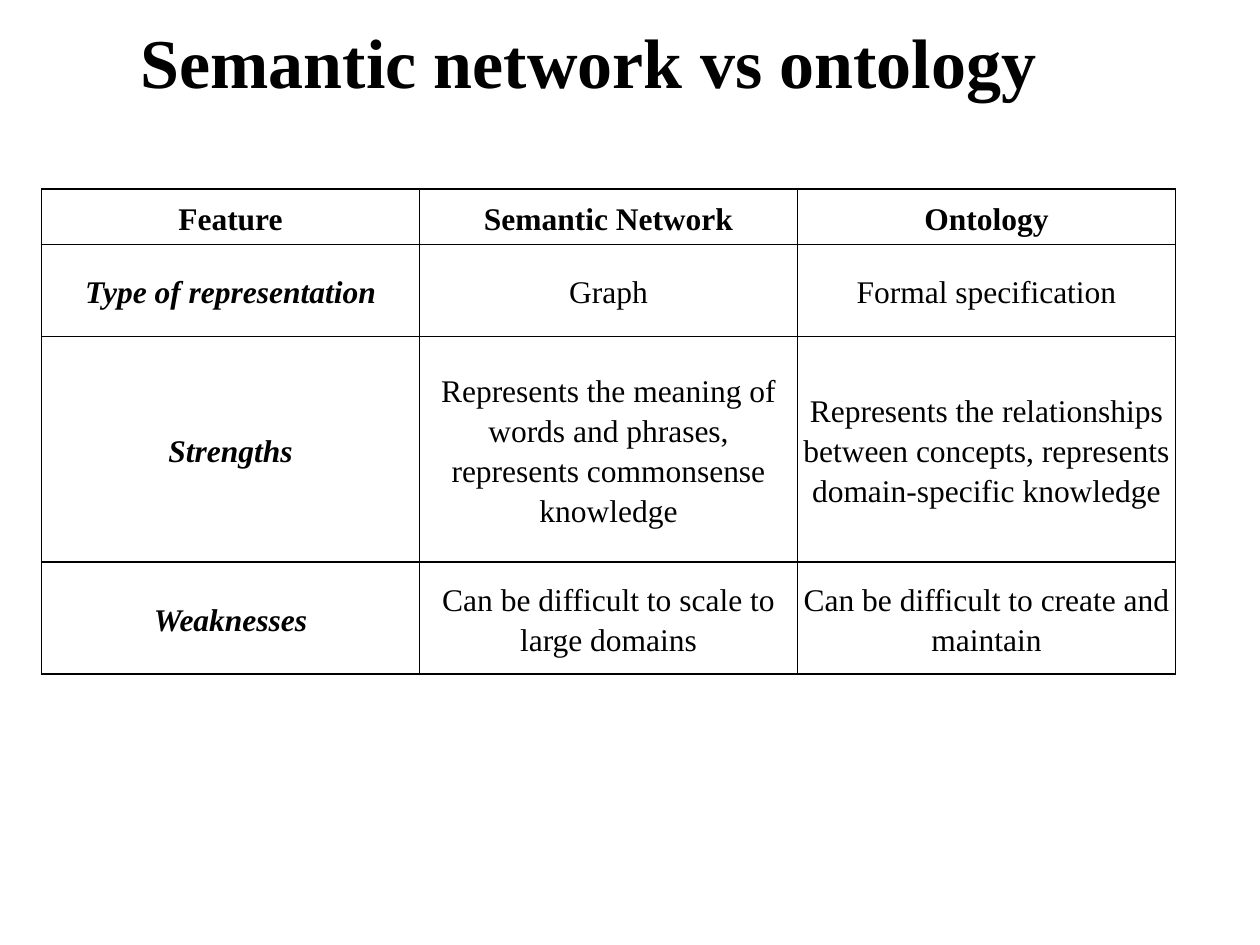
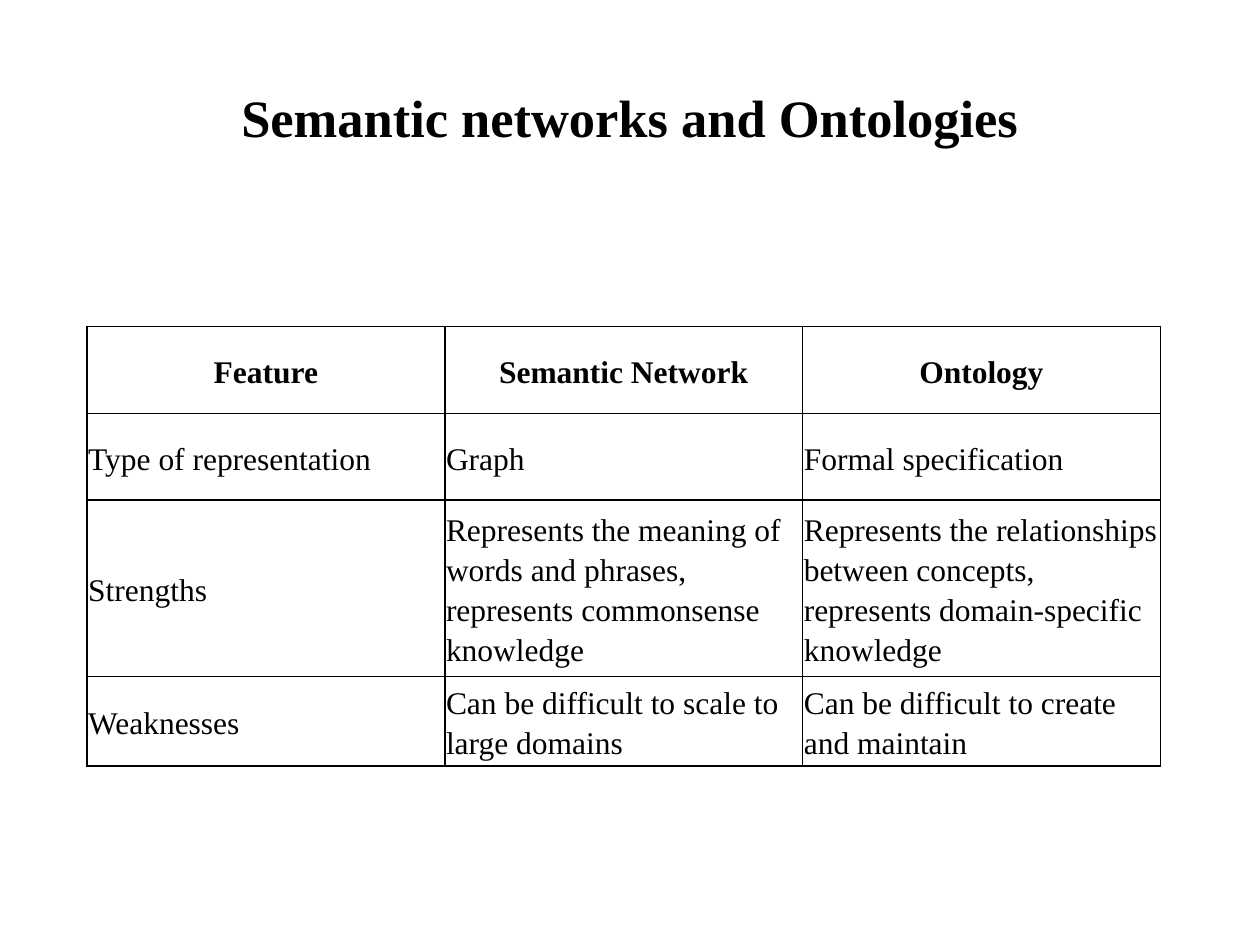
from dataclasses import dataclass

from lxml import etree
from pptx import Presentation
from pptx import util as u
from pptx.dml.color import RGBColor
from pptx.enum import text
from pptx.oxml import ns

COLOURS = {"ink": "000000", "paper": "FFFFFF"}
FONT = "Times New Roman"
CELL_MARGIN = u.Inches(0.01)
BORDER_WIDTH = u.Pt(1)
FEATURES = [
    ("Feature", "Semantic Network", "Ontology"),
    ("Type of representation", "Graph", "Formal specification"),
    (
        "Strengths",
        "Represents the meaning of words and phrases, represents commonsense knowledge",
        "Represents the relationships between concepts, represents domain-specific knowledge",
    ),
    (
        "Weaknesses",
        "Can be difficult to scale to large domains",
        "Can be difficult to create and maintain",
    ),
]


@dataclass(frozen=True)
class Title:
    words: str
    left: float
    top: float
    width: float
    height: float
    size: int


@dataclass(frozen=True)
class Comparison:
    title: Title
    left: float
    top: float
    column_width: float
    row_heights: tuple[float, ...]
    body_align: text.PP_ALIGN
    emphasise_features: bool


COMPARISONS = [
    Comparison(
        Title("Semantic network vs ontology", 0.17, 0.17, 9, 0.62, 40),
        0.33, 1.5, 3, (0.44, 0.73, 1.79, 0.89), text.PP_ALIGN.CENTER, True,
    ),
    Comparison(
        Title("Semantic networks and Ontologies", 0.5, 0.3, 9, 1.25, 30),
        0.69, 2.59, 2.84, (0.69, 0.69, 1.37, 0.69), text.PP_ALIGN.LEFT, False,
    ),
]


def style_text(para, size: int, align, bold: bool, italic: bool = False) -> None:
    para.alignment = align
    for span in para.runs:
        span.font.name = FONT
        span.font.size = u.Pt(size)
        span.font.bold = bold
        span.font.italic = italic
        span.font.color.rgb = RGBColor.from_string(COLOURS["ink"])


def draw_title(page, title: Title) -> None:
    box = page.shapes.add_textbox(
        u.Inches(title.left), u.Inches(title.top), u.Inches(title.width), u.Inches(title.height)
    )
    frame = box.text_frame
    frame.word_wrap = True
    frame.vertical_anchor = text.MSO_ANCHOR.MIDDLE
    frame.text = title.words
    style_text(frame.paragraphs[0], title.size, text.PP_ALIGN.CENTER, bold=True)


def add_borders(cell) -> None:
    properties = cell._tc.get_or_add_tcPr()
    for position, side in enumerate(("lnL", "lnR", "lnT", "lnB")):
        line = etree.Element(ns.qn(f"a:{side}"), w=str(BORDER_WIDTH))
        fill = etree.SubElement(line, ns.qn("a:solidFill"))
        etree.SubElement(fill, ns.qn("a:srgbClr"), val=COLOURS["ink"])
        properties.insert(position, line)


def draw_cell(cell, words: str, align, bold: bool, italic: bool) -> None:
    cell.fill.background()
    add_borders(cell)
    cell.margin_left = cell.margin_right = CELL_MARGIN
    cell.margin_top = cell.margin_bottom = CELL_MARGIN
    cell.vertical_anchor = text.MSO_ANCHOR.MIDDLE
    cell.text_frame.text = words
    para = cell.text_frame.paragraphs[0]
    para.line_spacing = 1.15
    para.space_after = u.Pt(10)
    style_text(para, 18, align, bold, italic)


def draw_table(page, comparison: Comparison) -> None:
    column_count = len(FEATURES[0])
    table = page.shapes.add_table(
        len(FEATURES), column_count,
        u.Inches(comparison.left), u.Inches(comparison.top),
        u.Inches(comparison.column_width * column_count),
        u.Inches(sum(comparison.row_heights)),
    ).table
    table.first_row = table.horz_banding = False
    for column in table.columns:
        column.width = u.Inches(comparison.column_width)
    for row_index, (height, row) in enumerate(zip(comparison.row_heights, FEATURES)):
        table.rows[row_index].height = u.Inches(height)
        is_header = row_index == 0
        align = text.PP_ALIGN.CENTER if is_header else comparison.body_align
        for column_index, words in enumerate(row):
            emphasised = comparison.emphasise_features and column_index == 0 and not is_header
            draw_cell(
                table.cell(row_index, column_index), words, align,
                bold=is_header or emphasised, italic=emphasised,
            )


def main() -> None:
    deck = Presentation()
    deck.slide_width, deck.slide_height = u.Inches(10), u.Inches(7.5)
    for comparison in COMPARISONS:
        page = deck.slides.add_slide(deck.slide_layouts[6])
        page.background.fill.solid()
        page.background.fill.fore_color.rgb = RGBColor.from_string(COLOURS["paper"])
        draw_title(page, comparison.title)
        draw_table(page, comparison)
    deck.save("out.pptx")


if __name__ == "__main__":
    main()
